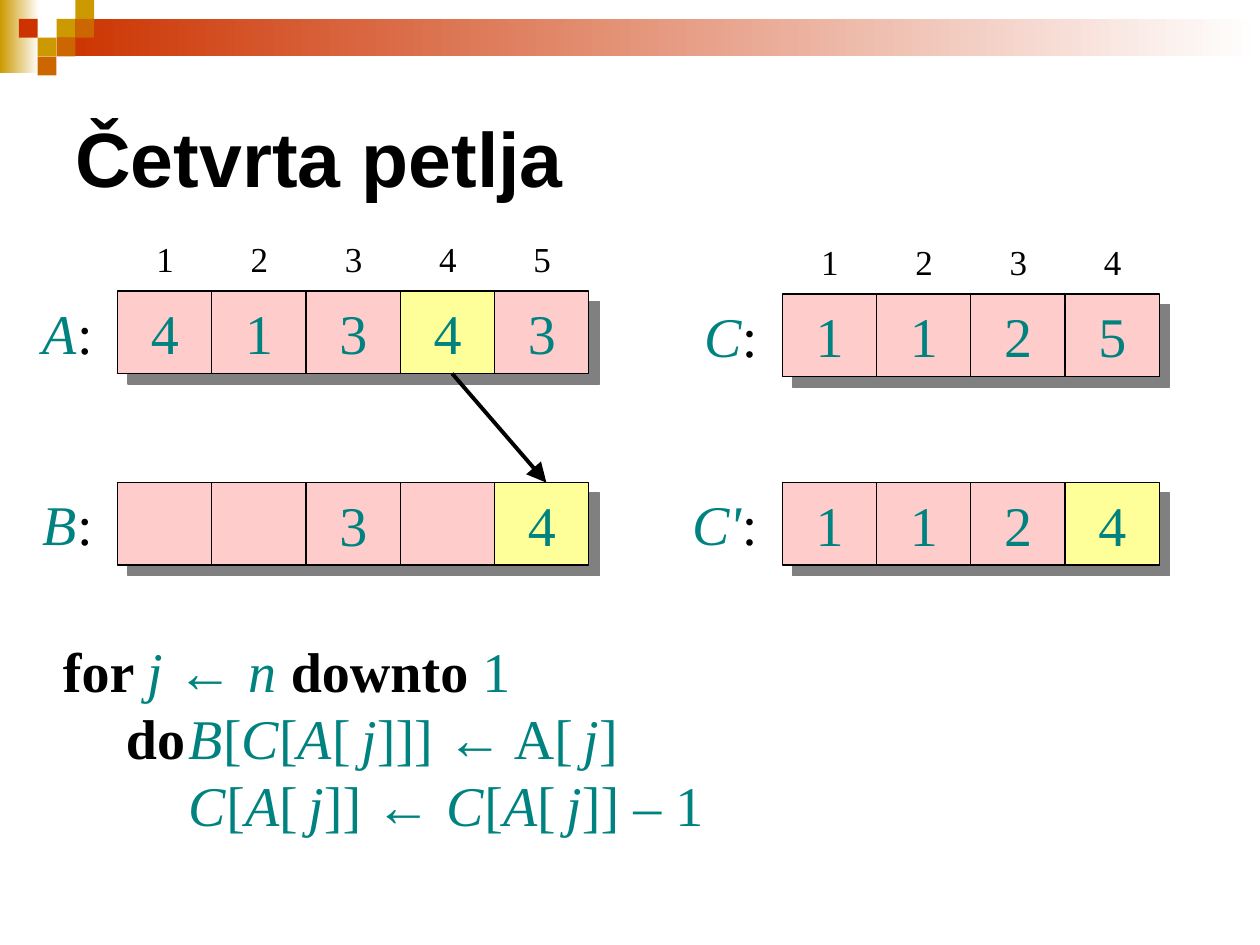
from lxml import etree
from pptx import Presentation
from pptx import util as u
from pptx.dml.color import RGBColor
from pptx.enum import shapes, text
from pptx.oxml.ns import qn

HUES = {"ink": "000000", "teal": "008380", "pink": "FFCCCC", "glow": "FFFF99",
        "shade": "808080", "white": "FFFFFF", "gold": "CC9900",
        "red": "CC3300", "rust": "CC6600"}

SERIF = {"name": "Times New Roman", "size": u.Pt(32), "bold": False, "italic": False}
FORMS = {
    "title": ("ink", {"name": "Arial", "size": u.Pt(44), "bold": True}),
    "index": ("ink", {**SERIF, "size": u.Pt(20)}),
    "plain": ("ink", SERIF),
    "key": ("ink", {**SERIF, "bold": True}),
    "var": ("teal", {**SERIF, "italic": True}),
    "code": ("teal", SERIF),
    "thin": ("teal", {**SERIF, "size": u.Pt(24)}),
    "arrow": ("teal", {**SERIF, "name": "Arial"}),
}

ITEM = [("A", "var"), ("[", "code"), (" ", "thin"), ("j", "var")]
COUNT = [("C", "var"), ("[", "code"), *ITEM]
LOOP = [
    [("for ", "key"), ("j ", "var"), ("← ", "arrow"), ("n ", "var"),
     ("downto ", "key"), ("1", "code")],
    [("do\t", "key"), ("B", "var"), ("[", "code"), *COUNT, ("]]] ", "code"),
     ("←", "arrow"), (" A[", "code"), (" ", "thin"), ("j", "var"), ("]", "code")],
    [("\t", "plain"), *COUNT, ("]] ", "code"), ("← ", "arrow"),
     *COUNT, ("]] – 1", "code")],
]

SIDE, TALL = 1.9, 1.66
LEFT, RIGHT = 2.37, 15.77
HIGH, LOW = 5.87, 9.73
ROWS = [
    ("A", 1.6, LEFT, HIGH, "41343", 3, True),
    ("B", 1.6, LEFT, LOW, "  3 4", 4, False),
    ("C", 1.7, RIGHT, HIGH + 0.06, "1125", None, True),
    ("C'", 2, RIGHT, LOW, "1124", 3, False),
]

UNIT = 0.38
TILES = [(3, 1, "gold"), (4, 0, "gold"), (4, 1, "rust"), (2, 2, "gold"),
         (1, 1, "red"), (3, 2, "rust"), (2, 3, "rust")]


def tint(hue):
    return RGBColor.from_string(HUES[hue])


def write(para, runs):
    for words, form in runs:
        run = para.add_run()
        run.text = words
        hue, looks = FORMS[form]
        for name, value in looks.items():
            setattr(run.font, name, value)
        run.font.color.rgb = tint(hue)


def add_text(home, box, lines, align="LEFT", anchor="TOP", wrap=False):
    frame = home.add_textbox(*map(u.Cm, box)).text_frame
    looks = {"word_wrap": wrap,
             "auto_size": text.MSO_AUTO_SIZE.NONE,
             "vertical_anchor": text.MSO_ANCHOR[anchor]}
    for name, value in looks.items():
        setattr(frame, name, value)
    for n, runs in enumerate(lines):
        para = frame.add_paragraph() if n else frame.paragraphs[0]
        para.alignment = text.PP_ALIGN[align]
        write(para, runs)
    return frame


def add_box(home, box, hue=None, kind="RECTANGLE"):
    shape = home.add_shape(shapes.MSO_SHAPE[kind], *map(u.Cm, box))
    shape.shadow.inherit = False
    shape.line.fill.background()
    if hue:
        shape.fill.solid()
        shape.fill.fore_color.rgb = tint(hue)
    return shape


def add_fade(home, box, hue):
    fill = add_box(home, box).fill
    fill.gradient()
    fill.gradient_angle = 180
    for stop, name in zip(fill.gradient_stops, ("white", hue)):
        stop.color.rgb = tint(name)


def add_shade(shape):
    glow = shape._element.spPr.find(qn("a:effectLst"))
    drop = etree.SubElement(glow, qn("a:outerShdw"), dist=str(u.Pt(8.5)),
                            dir="2700000", algn="ctr", rotWithShape="0")
    etree.SubElement(drop, qn("a:srgbClr"), val=HUES["shade"])


def add_cell(home, x, y, digit, hue):
    if digit.strip():
        home = home.add_group_shape().shapes
    cell = add_box(home, (x, y, SIDE, TALL), hue, "ROUNDED_RECTANGLE")
    cell.adjustments[0] = 0
    cell.line.color.rgb = tint("ink")
    cell.line.width = u.Pt(0.75)
    add_shade(cell)
    if digit.strip():
        add_text(home, (x + 0.42, y + 0.02, 1.07, 1.63), [[(digit, "code")]],
                 "CENTER", "MIDDLE")


def add_row(home, name, wide, left, top, digits, lit, heads):
    add_text(home, (left - 0.25 - wide, top + 0.02, wide, 1.63),
             [[(name, "var"), (":", "plain")]], "RIGHT", wrap=True)
    for n, digit in enumerate(digits):
        x = left + n * SIDE
        add_cell(home, x, top, digit, "glow" if n == lit else "pink")
        if heads:
            add_text(home, (x + 0.53, top - 1.21, 0.86, 1.12),
                     [[(str(n + 1), "index")]], "CENTER")


def add_arrow(home, start, end):
    line = home.add_connector(shapes.MSO_CONNECTOR.STRAIGHT,
                              *map(u.Cm, (*start, *end)))
    line.line.color.rgb = tint("ink")
    line.line.width = u.Pt(2.25)
    etree.SubElement(line.line._get_or_add_ln(), qn("a:tailEnd"),
                     type="triangle", w="lg", len="lg")
    etree.SubElement(line._element.spPr, qn("a:effectLst"))


def add_loop(home):
    frame = add_text(home, (1.02, 12.7, 23.39, 4.32), LOOP, wrap=True)
    for para in frame.paragraphs[1:]:
        props = para._p.get_or_add_pPr()
        for name, value in {"marL": u.Cm(1.27), "indent": 0, "lvl": 1}.items():
            props.set(name, str(int(value)))
        tabs = etree.SubElement(props, qn("a:tabLst"))
        etree.SubElement(tabs, qn("a:tab"), pos=str(u.Cm(3.81)), algn="l")


def add_band(home):
    add_fade(home, (0, 0, 0.79, 1.47), "gold")
    add_fade(home, (3 * UNIT, UNIT, 24.26, 0.76), "red")
    for col, row, hue in TILES:
        add_box(home, (col * UNIT, row * UNIT, UNIT, UNIT), hue)


def main():
    deck = Presentation()
    deck.slide_width, deck.slide_height = u.Cm(25.4), u.Cm(19.05)
    home = deck.slides.add_slide(deck.slide_layouts[6]).shapes
    add_band(home)
    add_text(home, (1.27, 1.6, 22.86, 3.12), [[("Četvrta petlja", "title")]],
             anchor="MIDDLE", wrap=True)
    for row in ROWS:
        add_row(home, *row)
    add_loop(home)
    add_arrow(home, (LEFT + 3.55 * SIDE, HIGH + TALL), (LEFT + 4.55 * SIDE, LOW))
    deck.save("out.pptx")


if __name__ == "__main__":
    main()
